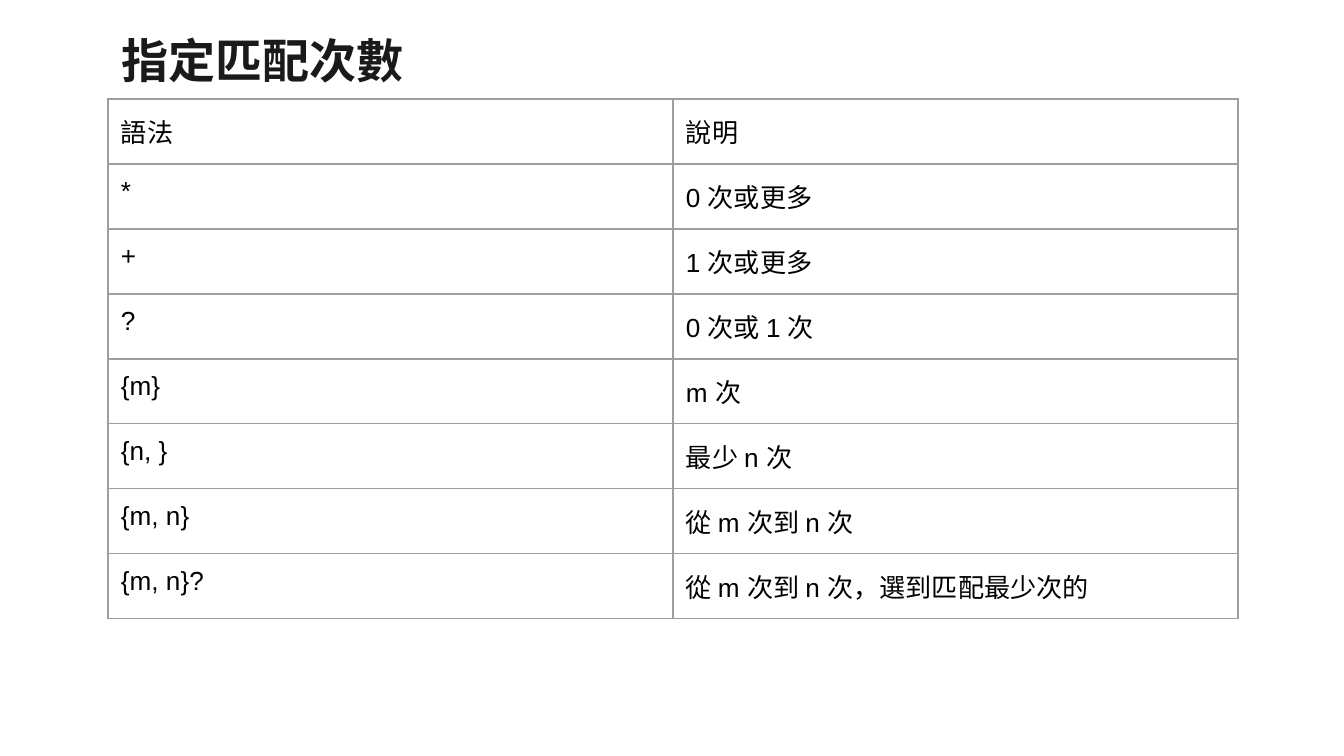
from lxml.etree import SubElement
from pptx import Presentation
from pptx.dml.color import RGBColor
from pptx.enum.text import MSO_ANCHOR, MSO_AUTO_SIZE, PP_ALIGN
from pptx.oxml.ns import qn
from pptx.util import Pt

PX = 914400 / 134.4
INSET = 13
LEFT, WIDTH = 108, 1130
TABLE_TOP, ROW_HEIGHT = 99, 65
GRID_COLOR = "9E9E9E"
ROWS = [
    ("語法", "說明"),
    ("*", "0 次或更多"),
    ("+", "1 次或更多"),
    ("?", "0 次或 1 次"),
    ("{m}", "m 次"),
    ("{n, }", "最少 n 次"),
    ("{m, n}", "從 m 次到 n 次"),
    ("{m, n}?", "從 m 次到 n 次，選到匹配最少次的"),
]


def px(length):
    return round(length * PX)


def set_font(paragraph, name, size, color, bold):
    font = paragraph.runs[0].font
    for key, value in {"name": name, "size": Pt(size), "bold": bold}.items():
        setattr(font, key, value)
    font.color.rgb = RGBColor.from_string(color)


prs = Presentation()
prs.slide_width, prs.slide_height = px(1344), px(756)
slide = prs.slides.add_slide(prs.slide_layouts[5])

margins = {f"margin_{side}": px(INSET) for side in ("left", "top", "right", "bottom")}

# Title
title = slide.shapes.title
title.left, title.top, title.width, title.height = map(px, (LEFT, 20, WIDTH, 79))
frame = title.text_frame
frame.text = "指定匹配次數"
frame_format = {
    **margins,
    "word_wrap": True,
    "auto_size": MSO_AUTO_SIZE.NONE,
    "vertical_anchor": MSO_ANCHOR.MIDDLE,
}
for key, value in frame_format.items():
    setattr(frame, key, value)
heading = frame.paragraphs[0]
heading.alignment = PP_ALIGN.LEFT
set_font(heading, "Manrope", 25.2, "1A1A1A", True)

# Syntax table
syntax = slide.shapes.add_table(
    len(ROWS), 2, px(LEFT), px(TABLE_TOP), px(WIDTH), px(ROW_HEIGHT * len(ROWS))
).table
syntax.first_row = False
syntax.horz_banding = False

for row, texts in enumerate(ROWS):
    for column, text in enumerate(texts):
        cell = syntax.cell(row, column)
        cell.text = text
        for key, value in margins.items():
            setattr(cell, key, value)
        cell.vertical_anchor = MSO_ANCHOR.TOP
        set_font(cell.text_frame.paragraphs[0], "Arial", 14, "000000", False)

        # Borders must come before the fill in the cell properties
        properties = cell._tc.get_or_add_tcPr()
        for edge in ("a:lnL", "a:lnR", "a:lnT", "a:lnB"):
            border = SubElement(properties, qn(edge), w=str(Pt(0.75)))
            fill = SubElement(border, qn("a:solidFill"))
            SubElement(fill, qn("a:srgbClr"), val=GRID_COLOR)
        cell.fill.background()

prs.save("out.pptx")
